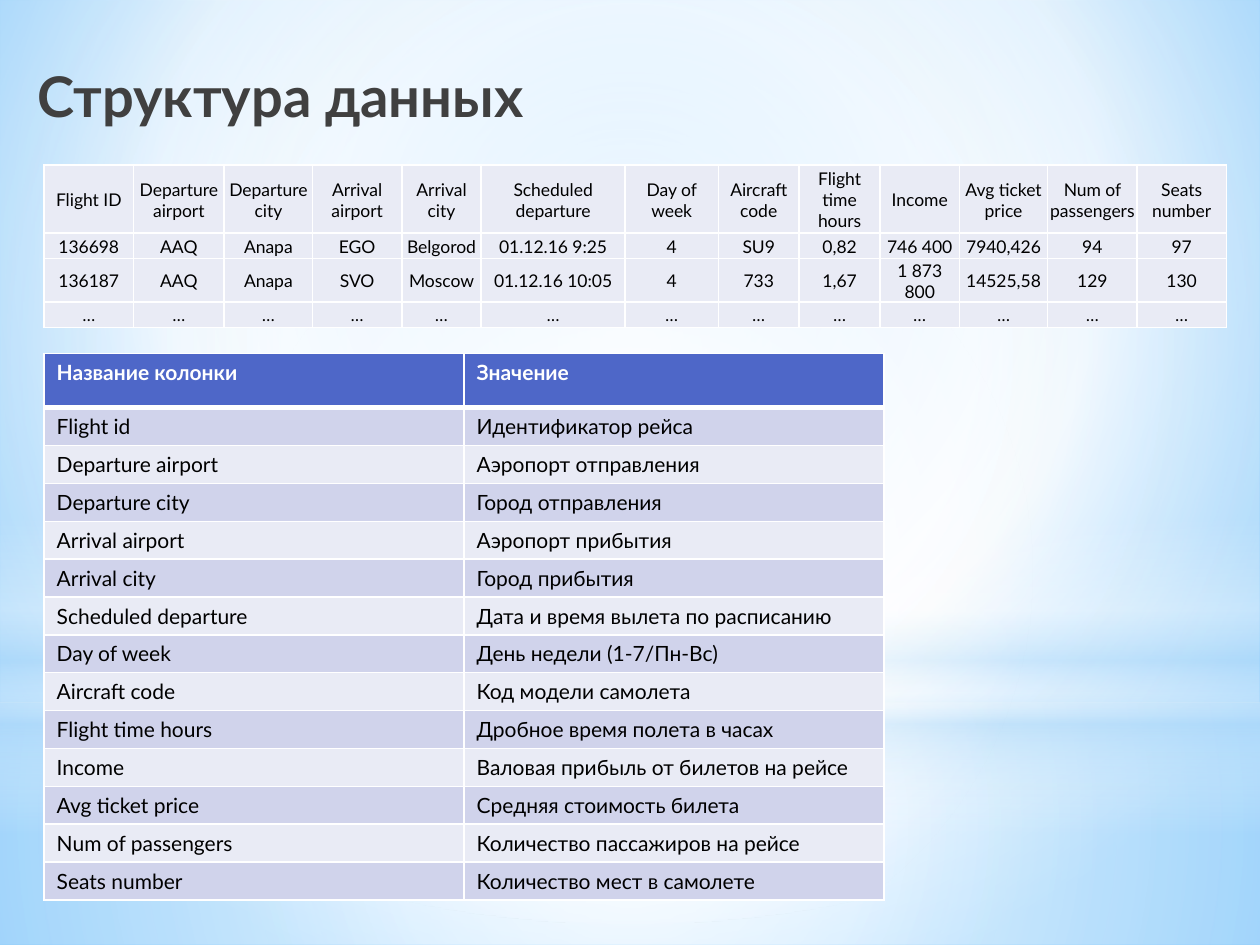
from lxml.etree import SubElement
from pptx import Presentation
from pptx.dml.color import RGBColor
from pptx.enum.shapes import MSO_SHAPE
from pptx.enum.text import MSO_ANCHOR, PP_ALIGN
from pptx.oxml import parse_xml
from pptx.oxml.ns import nsdecls, qn
from pptx.util import Cm, Pt

COLORS = {
    "white": "FFFFFF", "black": "000000", "title": "404040",
    "header": "4E67C8", "band": "D0D3EB", "light": "E9EBF5",
    "sky": "9ED5FF", "deep_sky": "5BB9FF", "haze": "B4DCFA",
}
FONT = "Lato"
CENTER = (50, 50, 50, 50)

COLUMNS = [  # name, meaning, width in the flights table (cm)
    ("Flight id", "Идентификатор рейса", 1.8),
    ("Departure airport", "Аэропорт отправления", 1.83),
    ("Departure city", "Город отправления", 1.78),
    ("Arrival airport", "Аэропорт прибытия", 1.8),
    ("Arrival city", "Город прибытия", 1.6),
    ("Scheduled departure", "Дата и время вылета по расписанию", 2.9),
    ("Day of week", "День недели (1-7/Пн-Вс)", 1.88),
    ("Aircraft code", "Код модели самолета", 1.63),
    ("Flight time hours", "Дробное время полета в часах", 1.63),
    ("Income", "Валовая прибыль от билетов на рейсе", 1.6),
    ("Avg ticket price", "Средняя стоимость билета", 1.78),
    ("Num of passengers", "Количество пассажиров на рейсе", 1.8),
    ("Seats number", "Количество мест в самолете", 1.8),
]
FLIGHTS = [
    ["136698", "AAQ", "Anapa", "EGO", "Belgorod", "01.12.16 9:25", "4",
     "SU9", "0,82", "746 400", "7940,426", "94", "97"],
    ["136187", "AAQ", "Anapa", "SVO", "Moscow", "01.12.16 10:05", "4",
     "733", "1,67", "1 873 800", "14525,58", "129", "130"],
]


def set_gradient(properties, stops, focus=None):
    """Replace a solid fill by (position, color, opacity) stops.

    With focus the gradient is circular, otherwise it runs downwards.
    """
    gradient = parse_xml(f'<a:gradFill {nsdecls("a")} rotWithShape="1"><a:gsLst/></a:gradFill>')
    for position, color, opacity in stops:
        stop = SubElement(gradient[0], qn("a:gs"), pos=str(position * 1000))
        rgb = SubElement(stop, qn("a:srgbClr"), val=COLORS[color])
        if opacity < 100:
            SubElement(rgb, qn("a:alpha"), val=str(opacity * 1000))
    if focus:
        path = SubElement(gradient, qn("a:path"), path="circle")
        SubElement(path, qn("a:fillToRect"),
                   {side: str(inset * 1000) for side, inset in zip("ltrb", focus)})
    else:
        SubElement(gradient, qn("a:lin"), ang="5400000", scaled="0")
    properties.replace(properties.find(qn("a:solidFill")), gradient)


def add_glow(slide, kind, box, stops, focus=None):
    shape = slide.shapes.add_shape(kind, *map(Cm, box))
    shape.shadow.inherit = False
    shape.line.fill.background()
    shape.fill.solid()
    set_gradient(shape.element.spPr, stops, focus)


def add_backdrop(slide, width, height):
    slide.background.fill.solid()
    set_gradient(slide.element.find(".//" + qn("p:bgPr")),
                 [(0, "sky", 100), (60, "white", 100), (100, "deep_sky", 100)],
                 (20, 10, 20, 60))
    horizon = 14.17
    add_glow(slide, MSO_SHAPE.RECTANGLE, (0, horizon, width, height - horizon),
             [(0, "white", 91), (37, "white", 76), (100, "haze", 79)], CENTER)
    add_glow(slide, MSO_SHAPE.RECTANGLE, (0, 0, width, horizon),
             [(0, "white", 89), (48, "white", 62), (100, "haze", 79)], CENTER)
    add_glow(slide, MSO_SHAPE.RECTANGLE, (0, 10.46, width, 6.35),
             [(0, "white", 0), (29, "white", 30), (45, "haze", 40),
              (55, "white", 26), (65, "haze", 60), (100, "white", 0)])
    add_glow(slide, MSO_SHAPE.OVAL, (0, 4.45, width, horizon),
             [(0, "white", 100), (56, "white", 0)], CENTER)


def add_run(paragraph, text, size, color, bold=False, font=FONT):
    run = paragraph.add_run()
    run.text = text
    run.font.name = font
    run.font.size = Pt(size)
    run.font.bold = bold
    run.font.color.rgb = RGBColor.from_string(COLORS[color])


def add_title(slide, box, text):
    frame = slide.shapes.add_textbox(*map(Cm, box)).text_frame
    frame.word_wrap = True
    add_run(frame.paragraphs[0], text, 32, "title", bold=True)


def style_cell(cell, fill, top=1, bottom=1):
    """Fill the cell and give it white borders, widths in points."""
    cell.fill.solid()
    cell.fill.fore_color.rgb = RGBColor.from_string(COLORS[fill])
    properties = cell._tc.get_or_add_tcPr()
    for index, (side, width) in enumerate(zip("LRTB", (1, 1, top, bottom))):
        properties.insert(index, parse_xml(
            f'<a:ln{side} {nsdecls("a")} w="{Pt(width)}"><a:solidFill>'
            f'<a:srgbClr val="{COLORS["white"]}"/></a:solidFill></a:ln{side}>'))


def add_grid(slide, box, widths, heights):
    table = slide.shapes.add_table(len(heights), len(widths), *map(Cm, box)).table
    for column, width in zip(table.columns, widths):
        column.width = Cm(width)
    for row, height in zip(table.rows, heights):
        row.height = Cm(height)
    return table


def add_flights_table(slide, box):
    names = ["Flight ID"] + [name for name, _, _ in COLUMNS[1:]]
    rows = [names, *FLIGHTS, ["…"] * len(COLUMNS)]
    row_height = 0.51
    heights = [box[3] - row_height * (len(rows) - 1)] + [row_height] * (len(rows) - 1)
    table = add_grid(slide, box, [width for _, _, width in COLUMNS], heights)
    table.first_row = table.horz_banding = False
    for r, texts in enumerate(rows):
        for c, text in enumerate(texts):
            cell = table.cell(r, c)
            style_cell(cell, "light")
            cell.vertical_anchor = MSO_ANCHOR.MIDDLE
            cell.margin_left = cell.margin_right = cell.margin_top = Cm(0.03)
            cell.margin_bottom = 0
            paragraph = cell.text_frame.paragraphs[0]
            paragraph.alignment = PP_ALIGN.CENTER
            add_run(paragraph, text, 10, "black", font="Calibri" if text == "…" else FONT)


def add_meanings_table(slide, box):
    rows = [("Название колонки", "Значение")] + [entry[:2] for entry in COLUMNS]
    header_height = 1.09
    row_height = (box[3] - header_height) / len(COLUMNS)
    table = add_grid(slide, box, [box[2] / 2] * 2,
                     [header_height] + [row_height] * len(COLUMNS))
    for r, texts in enumerate(rows):
        header = r == 0
        fill = "header" if header else "band" if r % 2 else "light"
        for c, text in enumerate(texts):
            cell = table.cell(r, c)
            style_cell(cell, fill, top=3 if r == 1 else 1, bottom=3 if header else 1)
            add_run(cell.text_frame.paragraphs[0], text, 12,
                    "white" if header else "black", bold=header)


def main():
    width, height = 25.4, 19.05
    presentation = Presentation()
    presentation.slide_width, presentation.slide_height = Cm(width), Cm(height)
    slide = presentation.slides.add_slide(presentation.slide_layouts[6])
    add_backdrop(slide, width, height)
    add_title(slide, (0.51, 1.12, 18.08, 3.18), "Структура данных")
    add_flights_table(slide, (0.89, 3.33, 23.8, 2.9))
    add_meanings_table(slide, (0.89, 7.13, 16.93, 11))
    presentation.save("out.pptx")


if __name__ == "__main__":
    main()
